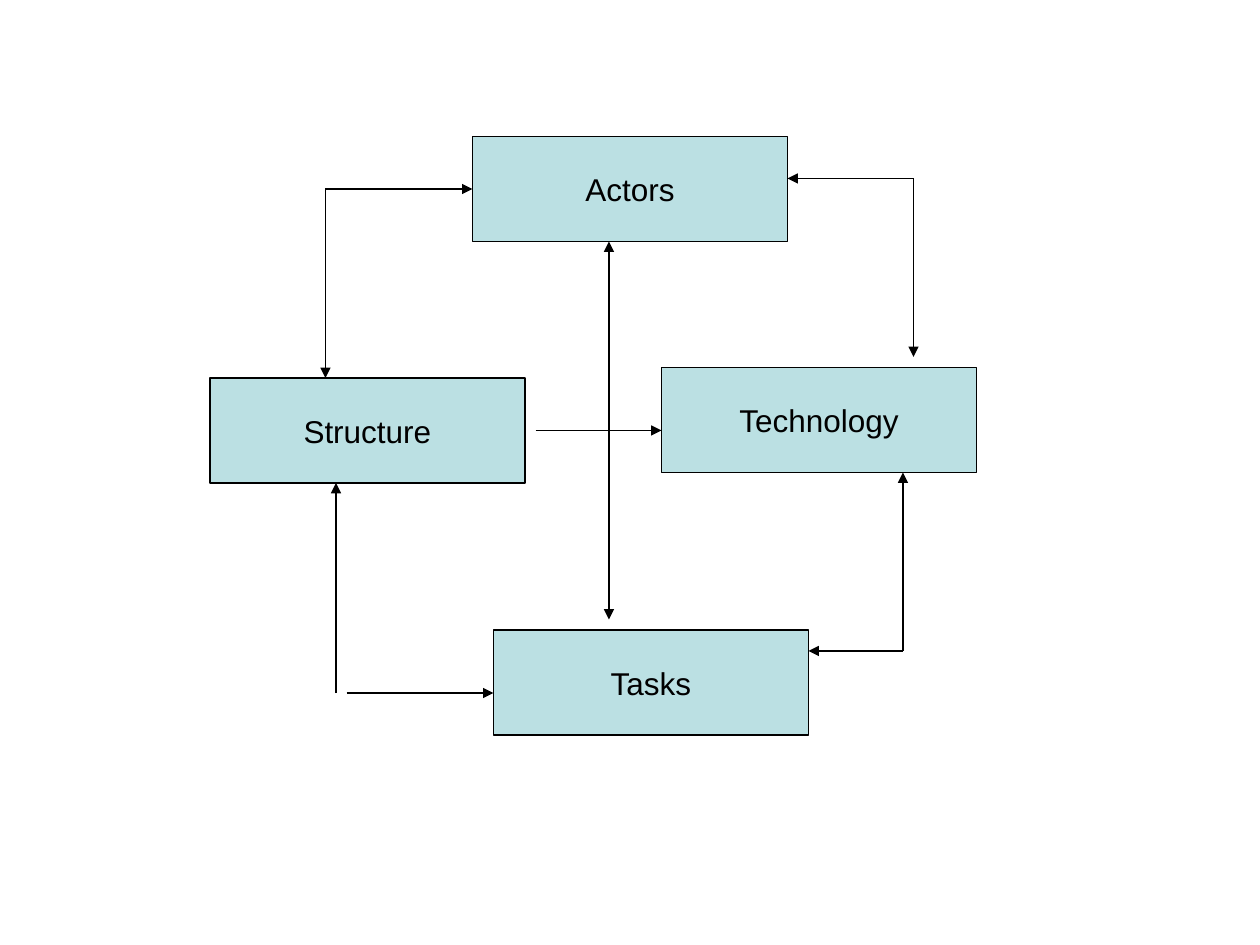
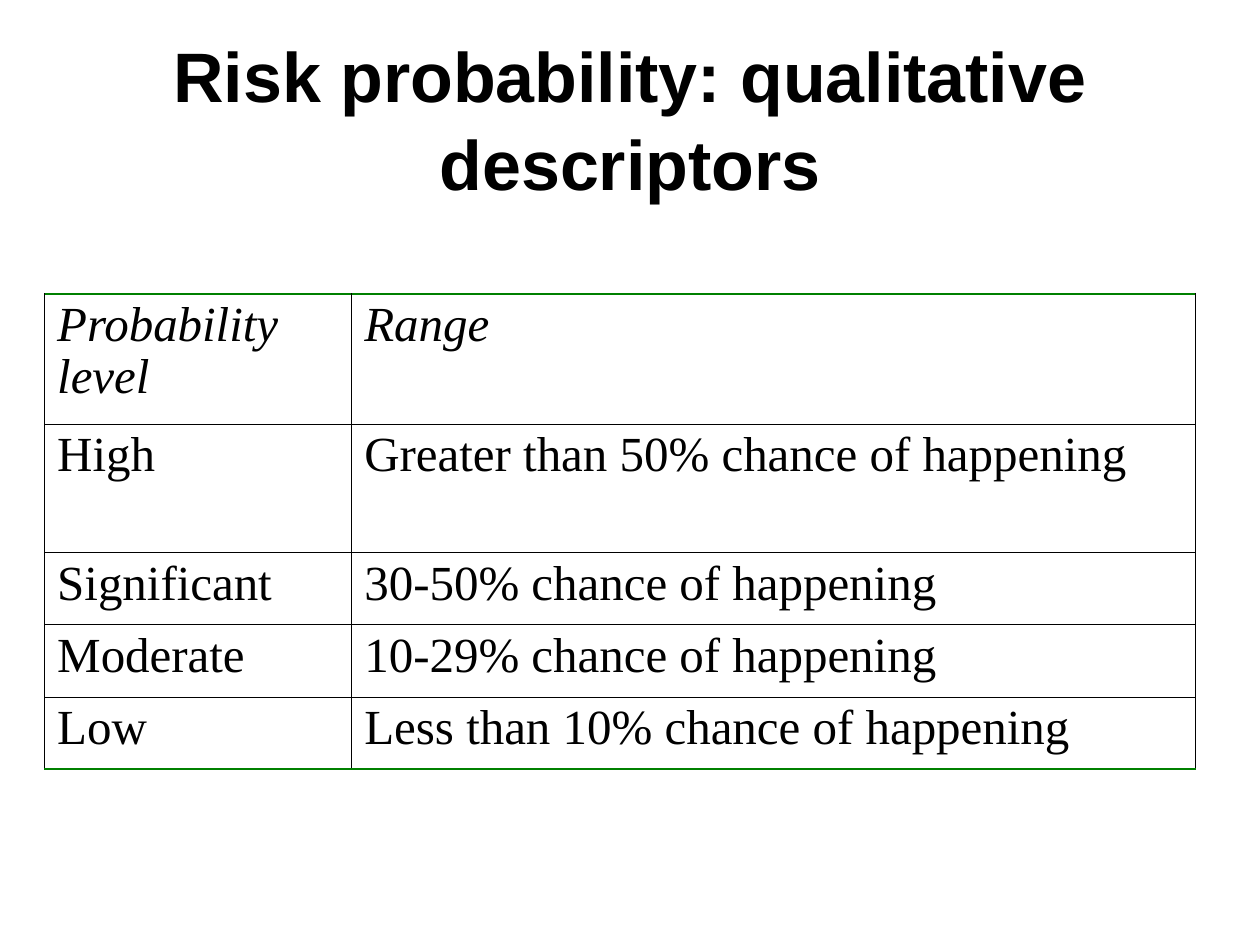
"""Build two slides: a socio-technical model diagram and a risk probability table."""
from dataclasses import dataclass

from lxml import etree
from pptx import Presentation
from pptx.dml.color import RGBColor
from pptx.enum.shapes import MSO_CONNECTOR, MSO_SHAPE
from pptx.enum.text import MSO_ANCHOR, PP_ALIGN
from pptx.oxml.ns import qn
from pptx.util import Emu, Pt

RECTANGLE = MSO_SHAPE.RECTANGLE
STRAIGHT = MSO_CONNECTOR.STRAIGHT
MIDDLE = MSO_ANCHOR.MIDDLE
CENTER = PP_ALIGN.CENTER
JUSTIFY = PP_ALIGN.JUSTIFY

BLACK = RGBColor(0x00, 0x00, 0x00)
PALE_TEAL = RGBColor(0xBB, 0xE0, 0xE3)
GREEN = RGBColor(0x00, 0x80, 0x00)
SANS = "Arial"
SERIF = "Times New Roman"
BLANK_LAYOUT = 6
EMU_PER_PX = 9525
LINE_WIDTH = Pt(0.75)
GRID_WIDTH = Pt(0.34)
EDGE_WIDTH = Pt(0.96)
BOX_WIDTH, BOX_HEIGHT = 240, 80


@dataclass(frozen=True)
class Component:
    """One box of the model, placed by its top left corner."""
    label: str
    left: int
    top: int

    def side_middles(self) -> list[tuple[int, int]]:
        """Return the middles of the top, left, bottom and right sides."""
        center_x, center_y = self.left + BOX_WIDTH // 2, self.top + BOX_HEIGHT // 2
        return [(center_x, self.top), (self.left, center_y),
                (center_x, self.top + BOX_HEIGHT), (self.left + BOX_WIDTH, center_y)]


@dataclass(frozen=True)
class Influence:
    """One arrow of the model, pointing at its end."""
    start: tuple[int, int]
    end: tuple[int, int]


COMPONENTS = [
    Component("Actors", 360, 104),
    Component("Technology", 504, 280),
    Component("Structure", 160, 288),
    Component("Tasks", 376, 480),
]
INFLUENCES = [
    Influence((248, 144), (248, 288)),
    Influence((248, 144), (360, 144)),
    Influence((696, 136), (600, 136)),
    Influence((696, 136), (696, 272)),
    Influence((464, 304), (464, 472)),
    Influence((408, 328), (504, 328)),
    Influence((464, 312), (464, 184)),
    Influence((256, 528), (256, 368)),
    Influence((264, 528), (376, 528)),
    Influence((688, 496), (688, 360)),
    Influence((688, 496), (616, 496)),
]
RISK_LEVELS = [
    ("Probability level", "Range"),
    ("High", "Greater than 50% chance of happening"),
    ("Significant", "30-50% chance of happening"),
    ("Moderate", "10-29% chance of happening"),
    ("Low", "Less than 10% chance of happening"),
]
COLUMN_WIDTHS = [234, 643]
ROW_HEIGHTS = [99, 98, 55, 55, 55]


def px(*lengths: int) -> list[Emu]:
    """Turn pixel lengths into EMU."""
    return [Emu(length * EMU_PER_PX) for length in lengths]


def write_text(frame, text: str, *, size: int, font: str = SANS, align=CENTER,
               bold: bool = False, italic: bool = False, spacing: float = 1.0) -> None:
    """Fill a text frame with one formatted paragraph."""
    paragraph = frame.paragraphs[0]
    paragraph.alignment = align
    paragraph.line_spacing = spacing
    run = paragraph.add_run()
    run.text = text
    run.font.name = font
    run.font.size = Pt(size)
    run.font.bold = bold
    run.font.italic = italic
    run.font.color.rgb = BLACK


def draw_component(slide, component: Component):
    """Draw a labelled box and return its shape."""
    box = slide.shapes.add_shape(
        RECTANGLE, *px(component.left, component.top, BOX_WIDTH, BOX_HEIGHT))
    box.shadow.inherit = False
    box.fill.solid()
    box.fill.fore_color.rgb = PALE_TEAL
    box.line.color.rgb = BLACK
    box.line.width = LINE_WIDTH
    box.text_frame.word_wrap = False
    box.text_frame.vertical_anchor = MIDDLE
    write_text(box.text_frame, component.label, size=18)
    return box


def draw_influence(slide, influence: Influence, boxes: list) -> None:
    """Draw an arrow and join it to any box side whose middle it meets."""
    arrow = slide.shapes.add_connector(STRAIGHT, *px(*influence.start, *influence.end))
    arrow.line.color.rgb = BLACK
    arrow.line.width = LINE_WIDTH
    etree.SubElement(arrow.line._get_or_add_ln(), qn("a:tailEnd"), type="triangle")
    etree.SubElement(arrow._element.spPr, qn("a:effectLst"))
    for component, box in zip(COMPONENTS, boxes):
        for side, middle in enumerate(component.side_middles()):
            if middle == influence.start:
                arrow.begin_connect(box, side)
            if middle == influence.end:
                arrow.end_connect(box, side)


def draw_title(slide, text: str) -> None:
    """Draw the slide title."""
    title = slide.shapes.add_textbox(*px(48, 29, 864, 120))
    title.text_frame.word_wrap = True
    title.text_frame.vertical_anchor = MIDDLE
    write_text(title.text_frame, text, size=40, bold=True, spacing=1.04)


def set_border(cell, side: str, color: RGBColor, width: Emu) -> None:
    """Add one border line to a cell."""
    border = etree.SubElement(cell._tc.get_or_add_tcPr(), qn(f"a:ln{side}"), w=str(width))
    fill = etree.SubElement(border, qn("a:solidFill"))
    etree.SubElement(fill, qn("a:srgbClr"), val=str(color))


def draw_risk_table(slide) -> None:
    """Draw the probability levels with green outer rules above and below."""
    table = slide.shapes.add_table(
        len(RISK_LEVELS), len(COLUMN_WIDTHS),
        *px(34, 224, sum(COLUMN_WIDTHS), sum(ROW_HEIGHTS))).table
    table.first_row = False
    table.horz_banding = False
    for column, width in zip(table.columns, px(*COLUMN_WIDTHS)):
        column.width = width
    for row, height in zip(table.rows, px(*ROW_HEIGHTS)):
        row.height = height
    last_row = len(RISK_LEVELS) - 1
    for row_index, level in enumerate(RISK_LEVELS):
        edge_side = {0: "T", last_row: "B"}.get(row_index)
        for column_index, text in enumerate(level):
            cell = table.cell(row_index, column_index)
            for side in "LRTB":
                is_edge = side == edge_side
                set_border(cell, side, GREEN if is_edge else BLACK,
                           EDGE_WIDTH if is_edge else GRID_WIDTH)
            cell.fill.background()
            write_text(cell.text_frame, text, size=28, font=SERIF, align=JUSTIFY,
                       italic=row_index == 0, spacing=0.96)


def build_model_slide(slide) -> None:
    """Draw the four components and the arrows between them."""
    boxes = [draw_component(slide, component) for component in COMPONENTS]
    for influence in INFLUENCES:
        draw_influence(slide, influence, boxes)


def build_risk_slide(slide) -> None:
    """Draw the title and table of risk probabilities."""
    draw_title(slide, "Risk probability: qualitative descriptors")
    draw_risk_table(slide)


def main() -> None:
    """Build and save the presentation."""
    presentation = Presentation()
    presentation.slide_width, presentation.slide_height = px(960, 720)
    for build in (build_model_slide, build_risk_slide):
        build(presentation.slides.add_slide(presentation.slide_layouts[BLANK_LAYOUT]))
    presentation.save("out.pptx")


if __name__ == "__main__":
    main()
